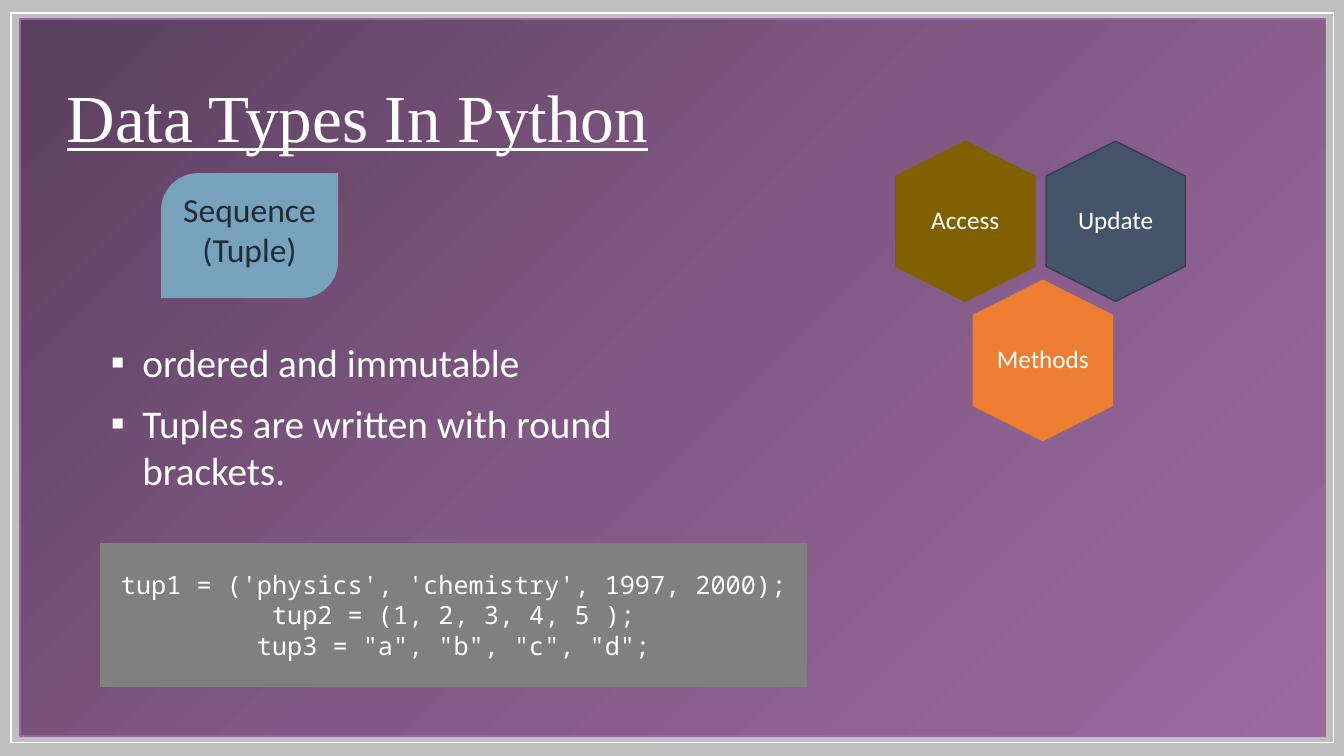
from copy import deepcopy

from lxml import etree
from pptx import Presentation, util as u
from pptx.dml.color import RGBColor
from pptx.enum import shapes, text
from pptx.oxml.ns import qn


class Theme:
    """Colours, fonts and type sizes."""
    white, mat, code_panel = "FFFFFF", "BFBFBF", "808080"
    backdrop = [(0, "5B3F5E"), (0.5, "825986"), (1, "9A6A9E")]
    backdrop_edge = "9B64A4"
    tile, tile_text = "77A2BB", "222A35"
    gold, slate, slate_edge, orange = "806000", "44546A", "333F50", "ED7D31"
    title_font, body_font, code_font = "Times New Roman", "Calibri", "Noto Sans Mono"
    title_size, list_size, tile_size, label_size = 48, 28, 24, 18


def write(frame, lines, *, font=Theme.body_font, size, color=Theme.white,
          align=text.PP_ALIGN.LEFT, anchor=text.MSO_ANCHOR.TOP, underline=False,
          spacing=1.0, gap=0, bullet=None, indent=0, insets=(7.2, 3.6)):
    frame.word_wrap = True
    frame.auto_size = text.MSO_AUTO_SIZE.NONE
    frame.vertical_anchor = anchor
    frame.margin_left = frame.margin_right = u.Pt(insets[0])
    frame.margin_top = frame.margin_bottom = u.Pt(insets[1])
    for number, line in enumerate(lines):
        paragraph = frame.add_paragraph() if number else frame.paragraphs[0]
        paragraph.alignment = align
        paragraph.line_spacing = spacing
        paragraph.space_before = u.Pt(gap if number else 0)
        if bullet:
            props = paragraph._p.get_or_add_pPr()
            props.set("marL", str(u.Pt(indent)))
            props.set("indent", str(-u.Pt(indent)))
            etree.SubElement(props, qn("a:buFont")).set("typeface", font)
            etree.SubElement(props, qn("a:buChar")).set("char", bullet)
        run = paragraph.add_run()
        run.text = line
        run.font.name, run.font.size = font, u.Pt(size)
        run.font.color.rgb = RGBColor.from_string(color)
        run.font.underline = underline


class SlideBuilder:
    def __init__(self, deck, theme):
        self.theme = theme
        self.slide = deck.slides.add_slide(deck.slide_layouts[1])

    def paint(self, shape, fill, edge):
        shape.shadow.inherit = False
        if isinstance(fill, list):
            self.gradient(shape, fill)
        elif fill:
            shape.fill.solid()
            shape.fill.fore_color.rgb = RGBColor.from_string(fill)
        else:
            shape.fill.background()
        if edge:
            shape.line.color.rgb = RGBColor.from_string(edge)
            shape.line.width = u.Pt(1)
        else:
            shape.line.fill.background()
        return shape

    def gradient(self, shape, colors):
        shape.fill.gradient()
        shape.fill.gradient_angle = 315
        stop_list = next(shape.element.iter(qn("a:gsLst")))
        while len(stop_list) < len(colors):
            stop_list.append(deepcopy(stop_list[0]))
        for stop, (position, color) in zip(shape.fill.gradient_stops, colors):
            stop.position = position
            stop.color.rgb = RGBColor.from_string(color)

    def panel(self, box, fill=None, edge=None, kind=shapes.MSO_SHAPE.RECTANGLE):
        panel = self.slide.shapes.add_shape(kind, *map(u.Pt, box))
        return self.paint(panel, fill, edge)

    def hexagon(self, label, left, top, fill, edge):
        width, height, shoulder = 99.4, 114.5, 25
        middle, right = left + width / 2, left + width
        upper, lower = top + shoulder, top + height - shoulder
        corners = [(middle, top), (right, upper), (right, lower),
                   (middle, top + height), (left, lower), (left, upper)]
        points = [(u.Pt(x), u.Pt(y)) for x, y in corners]
        outline = self.slide.shapes.build_freeform(*points[0])
        outline.add_line_segments(points[1:], close=True)
        hexagon = self.paint(outline.convert_to_shape(), fill, edge)
        write(hexagon.text_frame, [label], size=self.theme.label_size, spacing=0.9,
              align=text.PP_ALIGN.CENTER, anchor=text.MSO_ANCHOR.MIDDLE,
              insets=(16, 18))

    def placeholder(self, index, box, lines, **style):
        holder = self.slide.placeholders[index]
        holder.left, holder.top, holder.width, holder.height = map(u.Pt, box)
        self.slide.shapes.element.append(holder.element)  # bring to front
        write(holder.text_frame, lines, **style)


def main():
    theme = Theme()
    deck = Presentation()
    deck.slide_width, deck.slide_height = u.Pt(960), u.Pt(540)
    page = SlideBuilder(deck, theme)

    # Framed backdrop
    page.panel((0, 0, 960, 540), theme.mat, theme.mat)
    page.panel((8, 9.2, 944.6, 521.3), edge=theme.white)
    page.panel((14.4, 13.7, 932.4, 512), theme.backdrop, theme.backdrop_edge)

    # Title and topic
    page.placeholder(0, (40.3, 33.8, 828, 104.4), ["Data Types In Python"],
                     font=theme.title_font, size=theme.title_size, underline=True,
                     spacing=0.9, anchor=text.MSO_ANCHOR.MIDDLE)
    topic = page.panel((115, 123.7, 126.5, 89.3), theme.tile,
                       kind=shapes.MSO_SHAPE.ROUND_2_DIAG_RECTANGLE)
    topic.adjustments[0] = 0.297
    write(topic.text_frame, ["Sequence", "(Tuple)"], size=theme.tile_size,
          color=theme.tile_text, align=text.PP_ALIGN.CENTER)

    # Operations
    for label, left, top, fill, edge in [
            ("Update", 747.2, 100.8, theme.slate, theme.slate_edge),
            ("Access", 639.8, 100.8, theme.gold, theme.gold),
            ("Methods", 695.2, 200.2, theme.orange, theme.orange)]:
        page.hexagon(label, left, top, fill, edge)

    # Properties
    page.placeholder(1, (72, 238.3, 447.8, 119),
                     ["ordered and immutable", "Tuples are written with round brackets."],
                     size=theme.list_size, bullet="▪", indent=22.5, gap=9.7)

    # Code sample
    code = page.panel((72, 388.1, 504, 102.2), theme.code_panel, theme.code_panel)
    write(code.text_frame,
          ["tup1 = ('physics', 'chemistry', 1997, 2000);",
           "tup2 = (1, 2, 3, 4, 5 );",
           'tup3 = "a", "b", "c", "d";'],
          font=theme.code_font, size=theme.label_size,
          align=text.PP_ALIGN.CENTER, anchor=text.MSO_ANCHOR.MIDDLE)

    deck.save("out.pptx")


if __name__ == "__main__":
    main()
